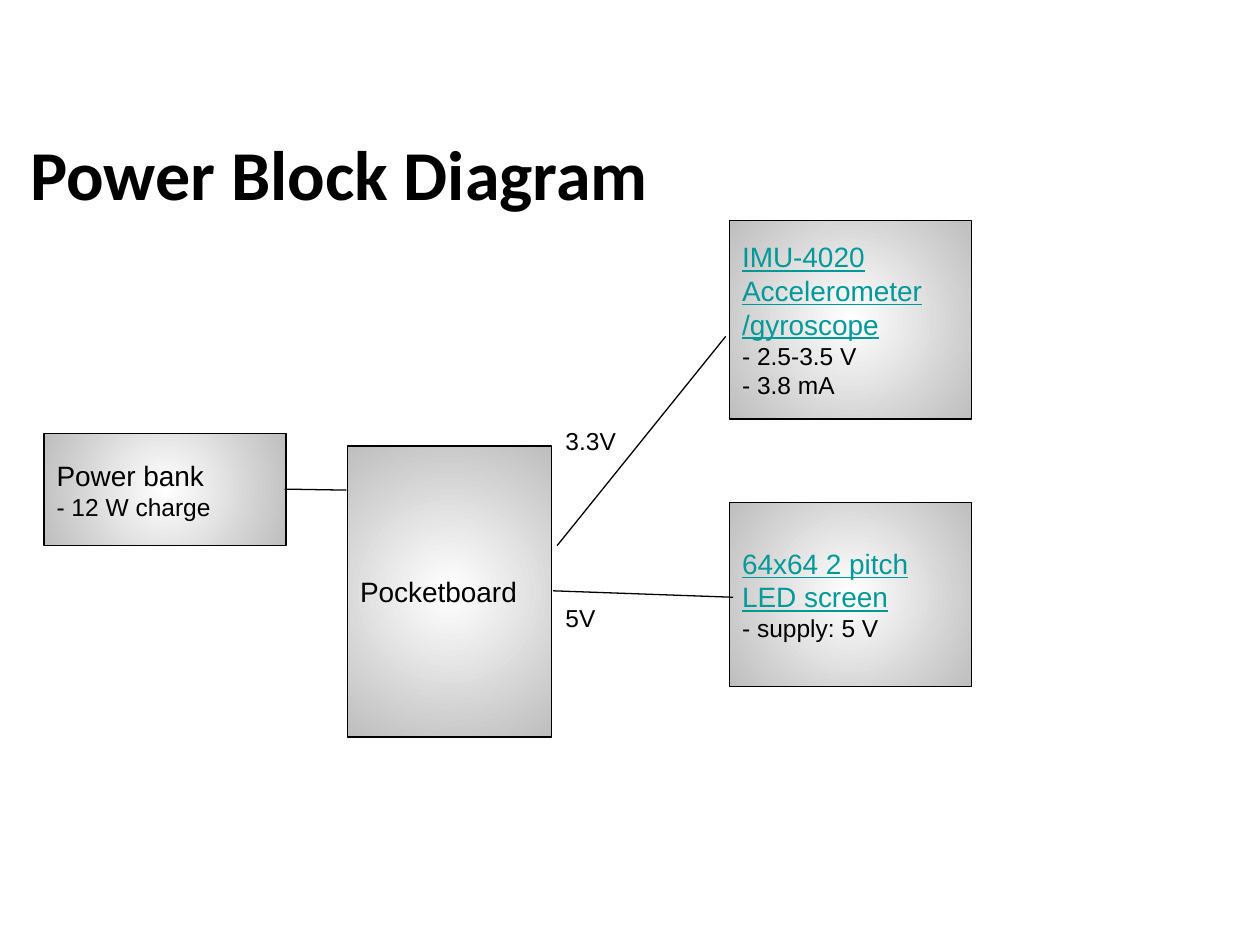
from lxml.etree import SubElement
from pptx import Presentation
from pptx.dml.color import RGBColor
from pptx.enum.shapes import MSO_CONNECTOR, MSO_SHAPE
from pptx.enum.text import MSO_ANCHOR, MSO_AUTO_SIZE, PP_ALIGN
from pptx.oxml.ns import qn
from pptx.util import Cm, Pt

BLACK, TEAL, WHITE, GREY = "000000", "009999", "FFFFFF", "BEBEBE"


def color(hex_string):
    return RGBColor.from_string(hex_string)


def write_lines(shape, lines):
    """Fill a shape with (text, size, colour) lines; teal lines are underlined."""
    text_frame = shape.text_frame
    text_frame.word_wrap = True
    text_frame.margin_left = text_frame.margin_right = Cm(0.25)
    text_frame.margin_top = text_frame.margin_bottom = Cm(0.25)
    text_frame.text = "\n".join(text for text, size, hex_string in lines)
    for paragraph, (text, size, hex_string) in zip(text_frame.paragraphs, lines):
        paragraph.alignment = PP_ALIGN.LEFT
        font = paragraph.runs[0].font
        font.name, font.size = "Arial", Pt(size)
        font.color.rgb = color(hex_string)
        font.underline = hex_string == TEAL


presentation = Presentation()
presentation.slide_width, presentation.slide_height = Cm(25.4), Cm(19.05)
slide = presentation.slides.add_slide(presentation.slide_layouts[5])

# Title
title = slide.shapes.title
title.left, title.top, title.width, title.height = Cm(0.36), Cm(1.88), Cm(24.69), Cm(3.18)
title.text_frame.text = "Power Block Diagram"
title.text_frame.vertical_anchor = MSO_ANCHOR.MIDDLE
title.text_frame.auto_size = MSO_AUTO_SIZE.NONE
paragraph = title.text_frame.paragraphs[0]
paragraph.alignment = PP_ALIGN.LEFT
font = paragraph.runs[0].font
font.name, font.size, font.bold = "Calibri", Pt(40), True
font.color.rgb = color(BLACK)

# Component blocks: left, top, width, height, lines
blocks = [
    (7.01, 8.99, 4.11, 5.87, [("Pocketboard", 16, BLACK)]),
    (14.71, 4.44, 4.88, 4.01, [
        ("IMU-4020", 16, TEAL),
        ("Accelerometer", 16, TEAL),
        ("/gyroscope", 16, TEAL),
        ("- 2.5-3.5 V", 14, BLACK),
        ("- 3.8 mA", 14, BLACK),
    ]),
    (14.71, 10.13, 4.88, 3.71, [
        ("64x64 2 pitch LED screen", 16, TEAL),
        ("- supply: 5 V", 14, BLACK),
    ]),
    (0.89, 8.74, 4.88, 2.26, [
        ("Power bank", 16, BLACK),
        ("- 12 W charge", 14, BLACK),
    ]),
]
for left, top, width, height, lines in blocks:
    block = slide.shapes.add_shape(
        MSO_SHAPE.RECTANGLE, Cm(left), Cm(top), Cm(width), Cm(height))
    block.shadow.inherit = False
    block.line.color.rgb = color(BLACK)
    block.line.width = Pt(0.75)
    block.text_frame.vertical_anchor = MSO_ANCHOR.MIDDLE
    write_lines(block, lines)

    # Radial gradient, light in the centre
    block.fill.gradient()
    for stop, position, hex_string in zip(block.fill.gradient_stops, (0, 1), (WHITE, GREY)):
        stop.position = position
        stop.color.rgb = color(hex_string)
    gradient = block.element.spPr.find(qn("a:gradFill"))
    gradient.remove(gradient.find(qn("a:lin")))
    radial = SubElement(gradient, qn("a:path"), {"path": "circle"})
    SubElement(radial, qn("a:fillToRect"), dict.fromkeys("ltrb", "50000"))

# Power lines: from x, y to x, y
power_lines = [
    (14.78, 12.04, 11.15, 11.91),
    (11.23, 11.0, 14.63, 6.78),
    (5.74, 9.86, 6.98, 9.88),
]
for points in power_lines:
    connector = slide.shapes.add_connector(
        MSO_CONNECTOR.STRAIGHT, *[Cm(value) for value in points])
    connector.line.color.rgb = color(BLACK)
    connector.line.width = Pt(0.75)
    SubElement(connector.element.spPr, qn("a:effectLst"))

# Voltage labels
for text, top in [("5V", 11.91), ("3.3V", 8.33)]:
    label = slide.shapes.add_textbox(Cm(11.15), Cm(top), Cm(1.57), Cm(1.12))
    write_lines(label, [(text, 14, BLACK)])
    label.text_frame.auto_size = MSO_AUTO_SIZE.SHAPE_TO_FIT_TEXT

presentation.save("out.pptx")
